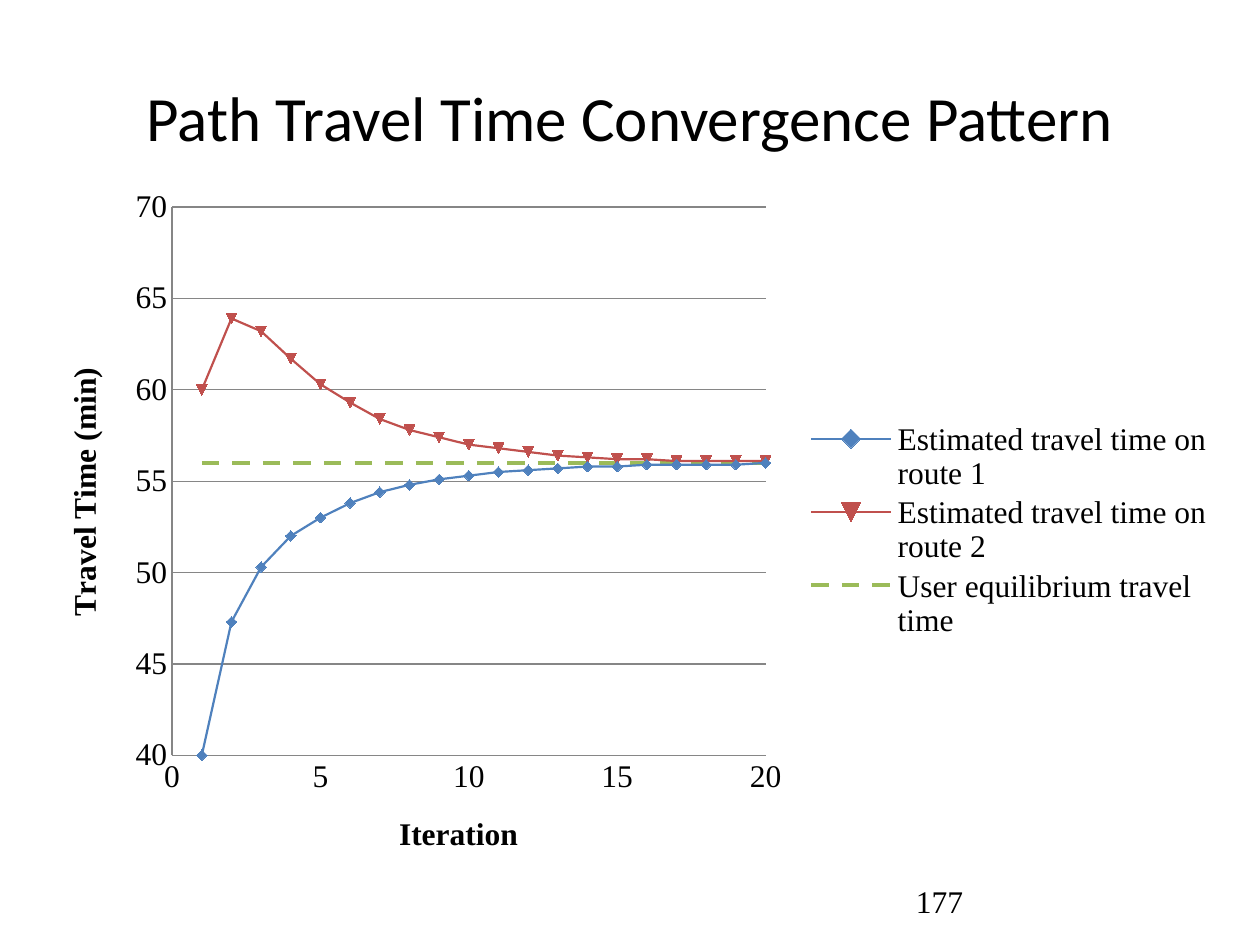
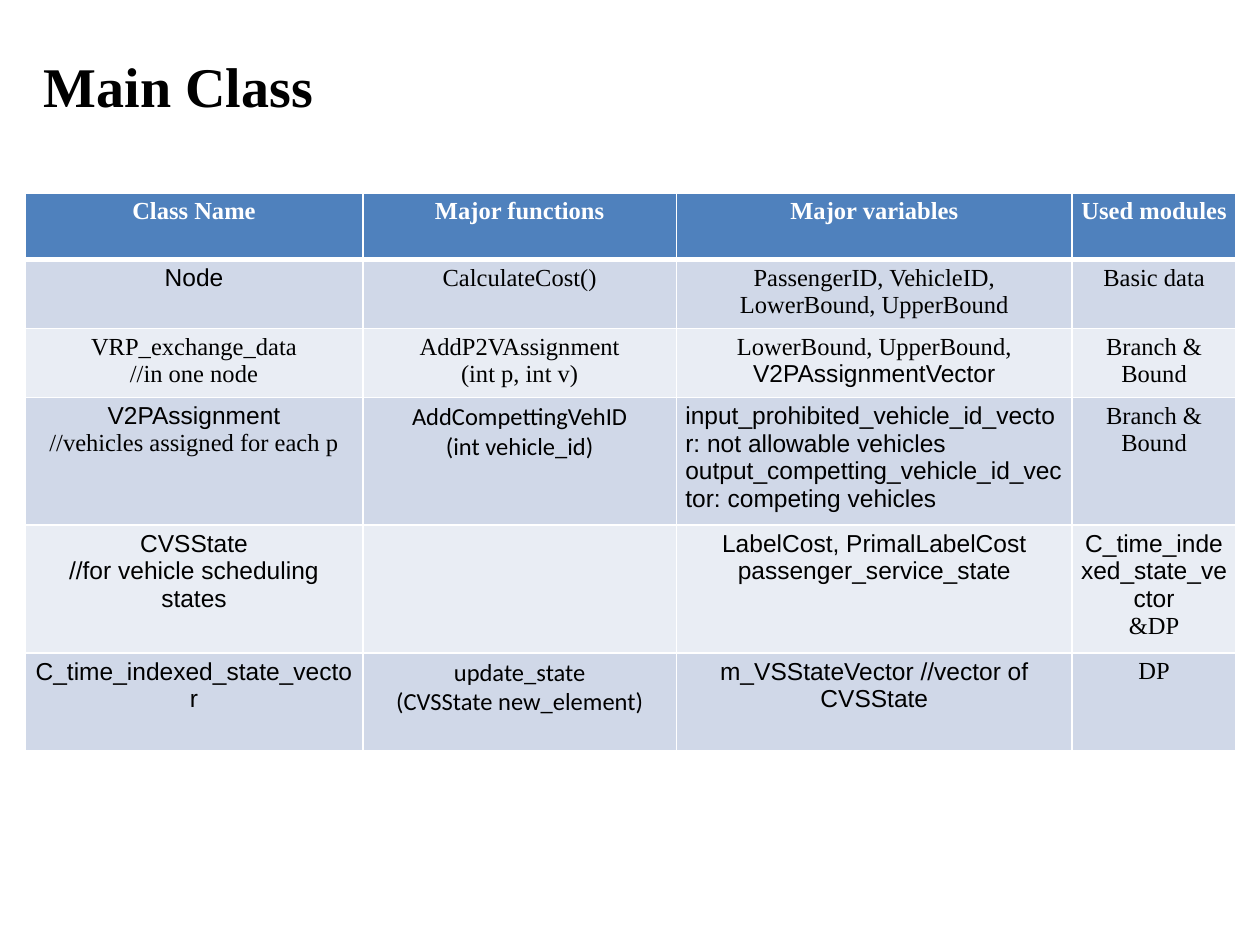
from lxml import etree
from pptx import Presentation
from pptx.chart.data import XyChartData
from pptx.dml.color import RGBColor
from pptx.enum import chart as ch, dml, text
from pptx.oxml import parse_xml
from pptx.oxml.ns import nsdecls, qn
from pptx.util import Inches, Pt

BLACK = RGBColor(0x00, 0x00, 0x00)
WHITE = RGBColor(0xFF, 0xFF, 0xFF)
BLUE = RGBColor(0x4F, 0x81, 0xBD)
RED = RGBColor(0xC0, 0x50, 0x4D)
GREEN = RGBColor(0x9B, 0xBB, 0x59)
GRID_GREY = RGBColor(0x86, 0x86, 0x86)
BAND_DARK = RGBColor(0xD0, 0xD8, 0xE8)
BAND_LIGHT = RGBColor(0xE9, 0xED, 0xF4)
SERIF, SANS, HUMANIST = "Times New Roman", "Arial", "Calibri"
ALIGN, ANCHOR = text.PP_ALIGN, text.MSO_ANCHOR

ROUTE_1 = [40, 47.3, 50.3, 52, 53, 53.8, 54.4, 54.8, 55.1, 55.3,
           55.5, 55.6, 55.7, 55.8, 55.8, 55.9, 55.9, 55.9, 55.9, 56]
ROUTE_2 = [60, 63.9, 63.2, 61.7, 60.3, 59.3, 58.4, 57.8, 57.4, 57,
           56.8, 56.6, 56.4, 56.3, 56.2, 56.2, 56.1, 56.1, 56.1, 56.1]
# name, travel times, colour, marker, line width, dash
TRAVEL_TIMES = [
    ("Estimated travel time on route 1", ROUTE_1, BLUE,
     ch.XL_MARKER_STYLE.DIAMOND, 1.25, None),
    ("Estimated travel time on route 2", ROUTE_2, RED,
     ch.XL_MARKER_STYLE.AUTOMATIC, 1.25, None),
    ("User equilibrium travel time", [56] * 20, GREEN,
     ch.XL_MARKER_STYLE.NONE, 2.5, dml.MSO_LINE.DASH),
]


def serif(words):
    return [(words, SERIF)]


def sans(words):
    return [(words, SANS)]


def humanist(words):
    return [(words, HUMANIST)]


HEADINGS = ["Class Name", "Major functions", "Major variables", "Used modules"]
# Each cell is a list of paragraphs, each paragraph a list of (words, font) runs
CLASSES = [
    [[sans("Node")],
     [serif("CalculateCost()")],
     [serif("PassengerID, VehicleID,"), serif("LowerBound, UpperBound")],
     [serif("Basic data")]],
    [[serif("VRP_exchange_data"), serif("//in one node")],
     [serif("AddP2VAssignment"), serif("(int p, int v)")],
     [serif("LowerBound, UpperBound, ") + sans("V2PAssignmentVector")],
     [serif("Branch & Bound")]],
    [[sans("V2PAssignment"), serif("//vehicles assigned for each p")],
     [humanist("AddCompettingVehID"), humanist("(int vehicle_id)")],
     [sans("input_prohibited_vehicle_id_vector: not allowable vehicles"),
      sans("output_competting_vehicle_id_vector: competing vehicles")],
     [serif("Branch & Bound")]],
    [[sans("CVSState"), sans("//for vehicle scheduling states")],
     [],
     [sans("LabelCost, PrimalLabelCost"), sans("passenger_service_state")],
     [sans("C_time_indexed_state_vector"), serif("&DP")]],
    [[sans("C_time_indexed_state_vector")],
     [humanist("update_state"), humanist("(CVSState new_element)")],
     [sans("m_VSStateVector //vector of CVSState")],
     [serif("DP")]],
]
LEFT_ALIGNED = {(3, 2)}
COLUMN_WIDTHS = [2.68, 2.49, 3.14, 1.3]
ROW_HEIGHTS = [0.53, 0.54, 0.54, 1.01, 1.01, 0.78]


def style_font(font, size, name=SERIF, colour=BLACK, bold=False):
    font.size, font.name, font.bold = Pt(size), name, bold
    font.color.rgb = colour


def add_run(paragraph, words, size, name=SERIF, colour=BLACK, bold=False):
    run = paragraph.add_run()
    run.text = words
    style_font(run.font, size, name, colour, bold)


def add_label(slide, box, words, size, name=SERIF, bold=False,
              align=ALIGN.LEFT, anchor=ANCHOR.TOP):
    frame = slide.shapes.add_textbox(*map(Inches, box)).text_frame
    frame.word_wrap = True
    frame.vertical_anchor = anchor
    frame.paragraphs[0].alignment = align
    add_run(frame.paragraphs[0], words, size, name, bold=bold)


def set_layout(element, x, y, w, h, inner=False):
    """Fix a plot area or legend at fractions of the chart's box."""
    for old in element.findall(qn("c:layout")):
        element.remove(old)
    layout = etree.Element(qn("c:layout"))
    manual = etree.SubElement(layout, qn("c:manualLayout"))
    settings = [("layoutTarget", "inner")] if inner else []
    settings += [("xMode", "edge"), ("yMode", "edge"),
                 ("x", x), ("y", y), ("w", w), ("h", h)]
    for tag, value in settings:
        etree.SubElement(manual, qn(f"c:{tag}")).set("val", str(value))
    position = element.find(qn("c:legendPos"))
    element.insert(0 if position is None else 1, layout)


def style_axis(axis, title, low, high, step):
    axis.minimum_scale, axis.maximum_scale, axis.major_unit = low, high, step
    axis.major_tick_mark = axis.minor_tick_mark = ch.XL_TICK_MARK.NONE
    axis.format.line.color.rgb = GRID_GREY
    axis.format.line.width = Pt(0.75)
    style_font(axis.tick_labels.font, 18)
    add_run(axis.axis_title.text_frame.paragraphs[0], title, 18, bold=True)


def add_convergence_chart(slide, box):
    data = XyChartData()
    for name, times, *_ in TRAVEL_TIMES:
        series = data.add_series(name)
        for iteration, time in enumerate(times, 1):
            series.add_data_point(iteration, time)
    chart = slide.shapes.add_chart(ch.XL_CHART_TYPE.XY_SCATTER_LINES,
                                   *map(Inches, box), data).chart
    chart.has_title = False
    style_font(chart.font, 18)
    style_axis(chart.category_axis, "Iteration", 0, 20, 5)
    style_axis(chart.value_axis, "Travel Time (min)", 40, 70, 5)
    chart.category_axis.has_major_gridlines = False
    chart.value_axis.has_major_gridlines = True
    grid = chart.value_axis.major_gridlines.format.line
    grid.color.rgb, grid.width = GRID_GREY, Pt(0.75)

    chart.plots[0].vary_by_categories = False
    for series, (_, _, colour, marker, width, dash) in zip(
            chart.plots[0].series, TRAVEL_TIMES):
        for smooth in series._element.findall(qn("c:smooth")):
            smooth.set("val", "0")
        line = series.format.line
        line.color.rgb, line.width = colour, Pt(width)
        if dash:
            line.dash_style = dash
        series.marker.style = marker
        if marker != ch.XL_MARKER_STYLE.NONE:
            series.marker.size = 6
            series.marker.format.fill.solid()
            series.marker.format.fill.fore_color.rgb = colour
            series.marker.format.line.color.rgb = colour

    chart.has_legend = True
    chart.legend.position = ch.XL_LEGEND_POSITION.RIGHT
    chart.legend.include_in_layout = False
    style_font(chart.legend.font, 18)
    set_layout(chart.legend._element, 0.64, 0.34, 0.35, 0.32)
    set_layout(chart._chartSpace.chart.plotArea, 0.11, 0.04, 0.5, 0.78, inner=True)


def add_borders(cell, bottom_width):
    properties = cell._tc.get_or_add_tcPr()
    widths = {"lnL": 1, "lnR": 1, "lnT": 1, "lnB": bottom_width}
    for position, (side, width) in enumerate(widths.items()):
        properties.insert(position, parse_xml(
            f'<a:{side} {nsdecls("a")} w="{Pt(width)}"><a:solidFill>'
            f'<a:srgbClr val="{WHITE}"/></a:solidFill></a:{side}>'))


def fill_cell(cell, paragraphs, fill, colour=BLACK, bold=False,
              align=ALIGN.CENTER, bottom_width=1):
    cell.fill.solid()
    cell.fill.fore_color.rgb = fill
    cell.margin_left = cell.margin_right = Inches(0.07)
    cell.margin_top = cell.margin_bottom = Inches(0.04)
    add_borders(cell, bottom_width)
    frame = cell.text_frame
    for number, runs in enumerate(paragraphs):
        paragraph = frame.add_paragraph() if number else frame.paragraphs[0]
        paragraph.alignment = align
        for words, font in runs:
            add_run(paragraph, words, 14, font, colour, bold)


def add_class_table(slide, left, top):
    table = slide.shapes.add_table(
        len(ROW_HEIGHTS), len(COLUMN_WIDTHS), Inches(left), Inches(top),
        Inches(sum(COLUMN_WIDTHS)), Inches(sum(ROW_HEIGHTS))).table
    for column, width in zip(table.columns, COLUMN_WIDTHS):
        column.width = Inches(width)
    for row, height in zip(table.rows, ROW_HEIGHTS):
        row.height = Inches(height)
    for c, heading in enumerate(HEADINGS):
        fill_cell(table.cell(0, c), [serif(heading)], BLUE, WHITE, True,
                  bottom_width=3)
    for r, class_row in enumerate(CLASSES, 1):
        band = BAND_DARK if r % 2 else BAND_LIGHT
        for c, paragraphs in enumerate(class_row):
            align = ALIGN.LEFT if (r, c) in LEFT_ALIGNED else ALIGN.CENTER
            fill_cell(table.cell(r, c), paragraphs, band, align=align)


def build_convergence_slide(slide):
    add_label(slide, (0.5, 0.3, 9, 1.25), "Path Travel Time Convergence Pattern",
              36, HUMANIST, align=ALIGN.CENTER, anchor=ANCHOR.MIDDLE)
    add_label(slide, (7.17, 6.95, 2.33, 0.4), "177", 18)
    add_convergence_chart(slide, (0.33, 1.42, 9.42, 5.58))


def build_class_slide(slide):
    add_label(slide, (0.25, 0.36, 2.55, 0.64), "Main Class", 32, bold=True,
              align=ALIGN.JUSTIFY)
    add_class_table(slide, 0.2, 1.53)


def main():
    deck = Presentation()
    deck.slide_width, deck.slide_height = Inches(10), Inches(7.5)
    for build in (build_convergence_slide, build_class_slide):
        build(deck.slides.add_slide(deck.slide_layouts[6]))
    deck.save("out.pptx")


if __name__ == "__main__":
    main()
